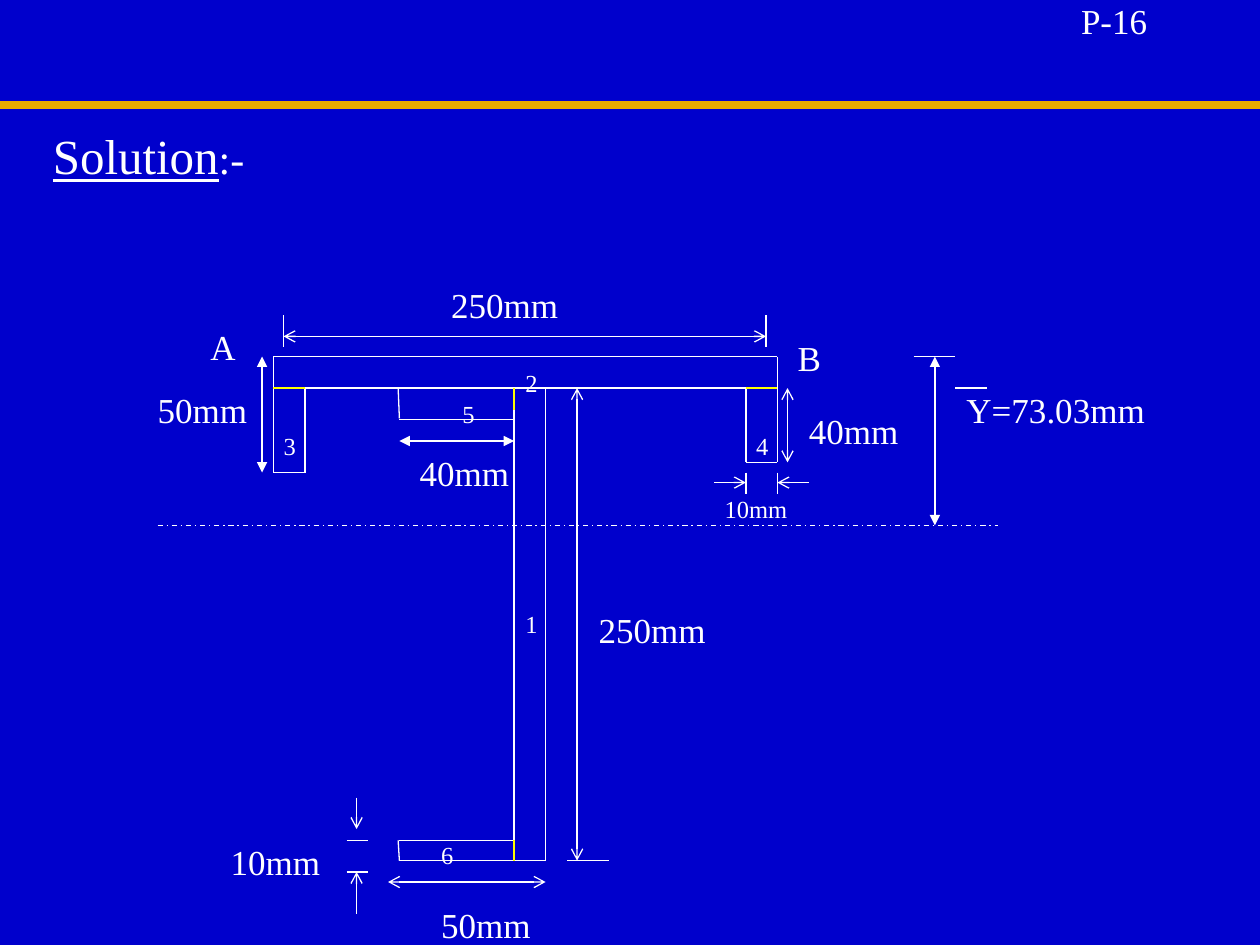
from dataclasses import dataclass, field

from lxml.etree import SubElement as Sub
from pptx import Presentation
from pptx.dml.color import RGBColor as RGB
from pptx.enum.dml import MSO_LINE as Dash
from pptx.enum.shapes import MSO_CONNECTOR as Conn
from pptx.enum.text import MSO_AUTO_SIZE as Auto
from pptx.oxml.ns import qn
from pptx.util import Inches, Pt

COLORS = {"back": "0000CC", "ink": "FFFFFF", "rule": "E8AB00", "joint": "FFFF00"}


def add_run(p, text, size=20, color="ink", font="Times New Roman", underline=False):
    r = p.add_run()
    r.text = text
    r.font.size = Pt(size)
    r.font.name = font
    r.font.underline = underline
    r.font.color.rgb = RGB.from_string(COLORS[color])


@dataclass
class Drawing:
    """Holds the drawing style and the current slide."""
    s: object
    colors: dict = field(default_factory=lambda: COLORS)

    def background(self, color):
        fill = self.s.background.fill
        fill.solid()
        fill.fore_color.rgb = RGB.from_string(self.colors[color])

    def line(self, x1, y1, x2, y2, color="ink", width=0.75, dash=None, head=None, tail=None):
        sp = self.s.shapes.add_connector(Conn.STRAIGHT, *map(Inches, (x1, y1, x2, y2)))
        sp.line.color.rgb = RGB.from_string(self.colors[color])
        sp.line.width = Pt(width)
        if dash:
            sp.line.dash_style = dash
        ln = sp.line._get_or_add_ln()
        for tag, kind in (("a:headEnd", head), ("a:tailEnd", tail)):
            if kind:
                Sub(ln, qn(tag), type=kind)
        Sub(sp._element.spPr, qn("a:effectLst"))

    def dimension(self, x1, y1, x2, y2, kind="arrow"):
        self.line(x1, y1, x2, y2, head=kind, tail=kind)

    def text(self, x, y, w, h, *runs):
        sp = self.s.shapes.add_textbox(*map(Inches, (x, y, w, h)))
        tf = sp.text_frame
        tf.word_wrap = True
        tf.auto_size = Auto.SHAPE_TO_FIT_TEXT
        tf.margin_left = tf.margin_right = tf.margin_top = tf.margin_bottom = 0
        for text, style in runs:
            add_run(tf.paragraphs[0], text, **style)

    def label(self, text, x, y, w, h=0.33, **style):
        self.text(x, y, w, h, (text, style))


OUTLINE = [
    (2.17, 2.83, 6.17, 2.83), (6.17, 2.83, 6.17, 3.67), (2.17, 2.83, 2.17, 3.75),
    (2.17, 3.75, 2.42, 3.75), (5.92, 3.67, 6.17, 3.67), (2.42, 3.08, 5.92, 3.08),
    (5.92, 3.08, 5.92, 3.67), (4.33, 3.08, 4.33, 6.83), (3.17, 3.32, 3.16, 3.08),
    (3.16, 6.67, 3.17, 6.83), (3.17, 3.33, 4.08, 3.33), (4.08, 3.25, 4.08, 6.67),
    (4.33, 6.83, 3.17, 6.83), (3.17, 6.67, 4.08, 6.67),
]
JOINTS = [
    (4.08, 6.67, 4.08, 6.83), (4.08, 3.25, 4.08, 3.08),
    (2.42, 3.08, 2.17, 3.08), (5.92, 3.08, 6.17, 3.08),
]
EXTENSIONS = [
    (2.25, 2.5, 2.25, 2.75), (6.08, 2.5, 6.08, 2.75),
    (5.92, 3.75, 5.92, 3.92), (6.17, 3.75, 6.17, 3.92),
    (2.75, 6.67, 2.92, 6.67), (2.75, 6.92, 2.92, 6.92),
    (4.5, 6.83, 4.83, 6.83), (7.25, 2.83, 7.58, 2.83), (7.58, 3.08, 7.83, 3.08),
]
OPEN_DIMENSIONS = [
    (4.58, 3.08, 4.58, 6.83), (2.25, 2.67, 6.08, 2.67),
    (6.25, 3.08, 6.25, 3.67), (3.08, 7, 4.33, 7),
]
SOLID_DIMENSIONS = [
    (2.08, 2.83, 2.08, 3.75), (3.17, 3.5, 4.08, 3.5), (7.42, 2.83, 7.42, 4.17),
]
POINTERS = [
    (6.42, 3.83, 6.17, 3.83), (5.67, 3.83, 5.92, 3.83),
    (2.83, 6.33, 2.83, 6.58), (2.83, 7.25, 2.83, 6.92),
]
LABELS = [
    ("250mm", 4.75, 4.83, 1.08), ("250mm", 3.58, 2.25, 1.08), ("40mm", 6.42, 3.25, 0.75),
    ("A", 1.67, 2.58, 0.33), ("B", 6.33, 2.67, 0.67), ("50mm", 3.5, 7.17, 0.75),
    ("10mm", 1.83, 6.67, 0.75), ("50mm", 1.25, 3.08, 0.75), ("40mm", 3.33, 3.58, 0.83),
    ("Y=73.03mm", 7.67, 3.08, 2.33), ("P-16", 8.58, 0, 1.17),
]
SMALL_LABELS = [
    ("10mm", 5.75, 3.92, 0.75), ("1", 4.17, 4.83, 0.17), ("2", 4.17, 2.92, 0.08),
    ("3", 2.25, 3.42, 0.08), ("4", 6, 3.42, 0.08), ("5", 3.67, 3.17, 0.17),
    ("6", 3.5, 6.67, 0.08),
]


def main():
    prs = Presentation()
    prs.slide_width, prs.slide_height = Inches(10), Inches(7.5)
    d = Drawing(prs.slides.add_slide(prs.slide_layouts[6]))
    d.background("back")
    d.line(0, 0.83, 10.03, 0.83, color="rule", width=4.5)
    for ends in OUTLINE + EXTENSIONS:
        d.line(*ends)
    d.line(2.42, 3.08, 2.42, 3.75, width=1)
    for ends in JOINTS:
        d.line(*ends, color="joint")
    for ends in OPEN_DIMENSIONS:
        d.dimension(*ends)
    for ends in SOLID_DIMENSIONS:
        d.dimension(*ends, kind="triangle")
    for ends in POINTERS:
        d.line(*ends, tail="arrow")
    d.line(1.25, 4.17, 7.92, 4.17, dash=Dash.DASH_DOT)
    for label in LABELS:
        d.label(*label)
    for label in SMALL_LABELS:
        d.label(*label, h=0.23, size=14)
    d.text(0.42, 1, 2.17, 0.47,
           ("Solution", {"size": 28, "underline": True}), (":-", {"size": 24}))
    prs.save("out.pptx")


if __name__ == "__main__":
    main()
